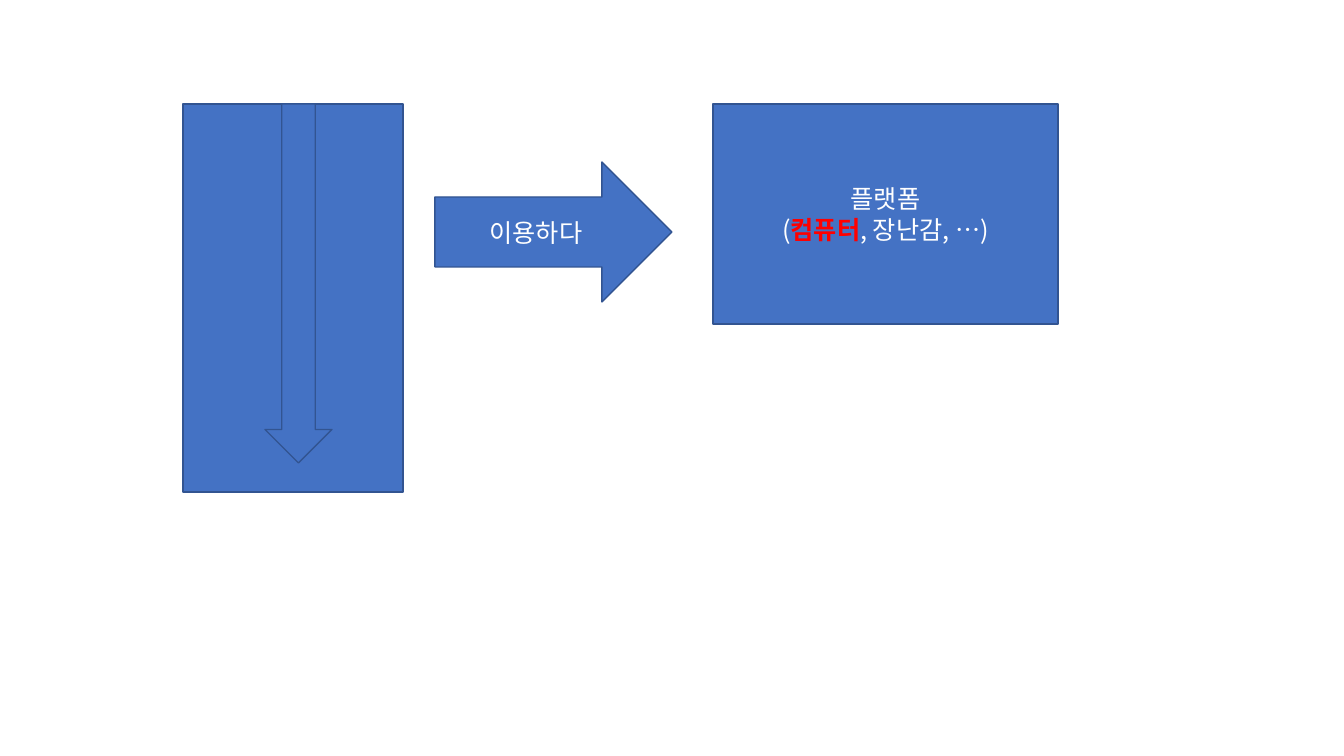
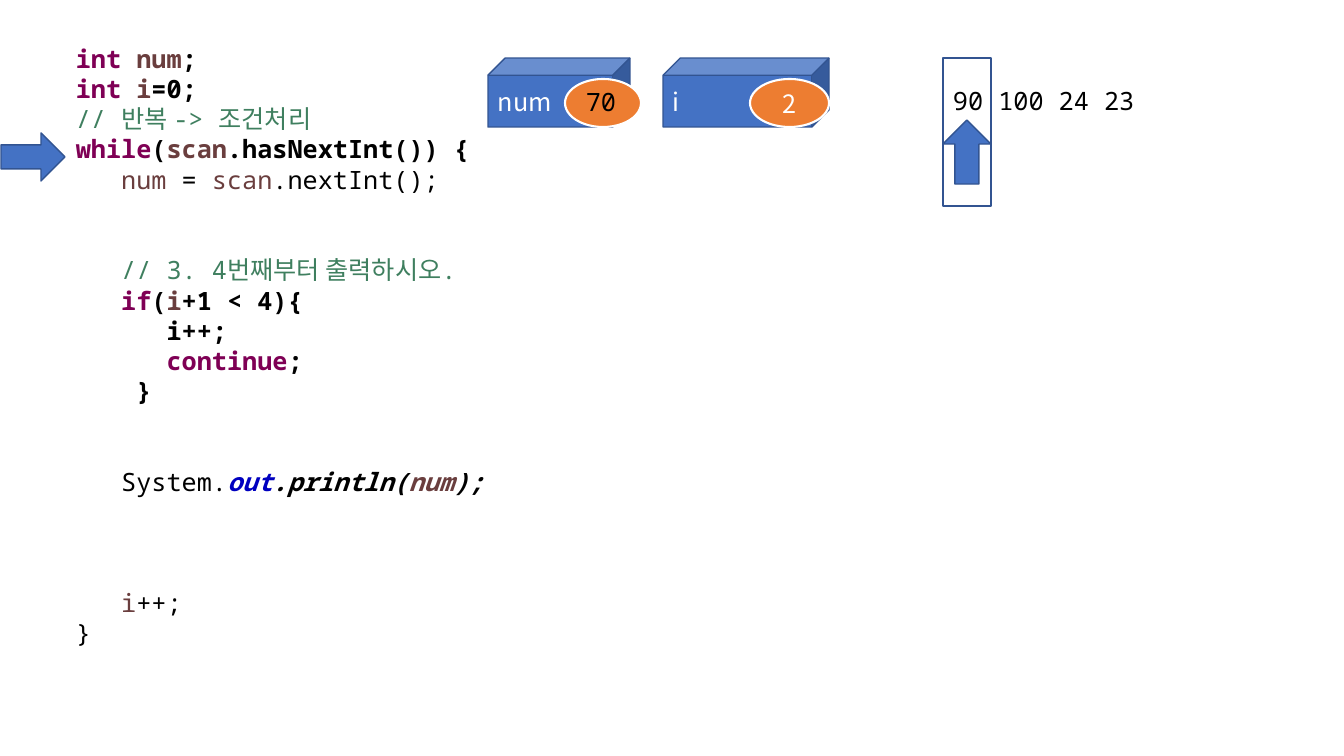
from pptx import Presentation
from pptx.dml.color import RGBColor
from pptx.enum.shapes import MSO_SHAPE as SHAPE
from pptx.enum.text import MSO_ANCHOR as ANCHOR, MSO_AUTO_SIZE as AUTO_SIZE, PP_ALIGN as ALIGN
from pptx.oxml.ns import qn
from pptx.util import Pt
from lxml import etree

EMU_PER_PX = 914400 / 100.8
SANS, MONO = "Noto Sans CJK KR", "Noto Sans Mono"
BLUE, NAVY, ORANGE = "4472C4", "325491", "ED7D31"
WHITE, BLACK, RED = "FFFFFF", "000000", "FF0000"
KEYWORD, VARIABLE, COMMENT, FIELD = "7F0055", "6A3E3E", "3F7F5F", "0000C0"
CODE_LINE = 21.6  # points


def add_box(shapes, kind, box, fill=BLUE, line=NAVY, line_width=1):
    """Add a preset shape, or a text box when kind is None; box is in px."""
    position = [round(value * EMU_PER_PX) for value in box]
    if kind is None:
        text_box = shapes.add_textbox(*position)
        text_box.text_frame.word_wrap = True
        text_box.text_frame.auto_size = AUTO_SIZE.SHAPE_TO_FIT_TEXT
        return text_box
    shape = shapes.add_shape(kind, *position)
    shape.shadow.inherit = False
    if fill:
        shape.fill.solid()
        shape.fill.fore_color.rgb = RGBColor.from_string(fill)
    else:
        shape.fill.background()
    shape.line.color.rgb = RGBColor.from_string(line)
    shape.line.width = Pt(line_width)
    shape.text_frame.vertical_anchor = ANCHOR.MIDDLE
    return shape


def add_text(paragraph, text, color=WHITE, font=SANS, bold=False, italic=False, align=ALIGN.LEFT):
    paragraph.alignment = align
    run = paragraph.add_run()
    run.text = text
    run.font.size = Pt(18)
    run.font.name = font
    run.font.bold = bold
    run.font.italic = italic
    run.font.color.rgb = RGBColor.from_string(color)
    east_asian = etree.SubElement(run.font._element, qn("a:ea"))
    east_asian.set("typeface", SANS)


presentation = Presentation()
presentation.slide_width = round(1344 * EMU_PER_PX)
presentation.slide_height = round(756 * EMU_PER_PX)
blank_layout = presentation.slide_layouts[6]

# Slide 1: a program uses a platform
shapes = presentation.slides.add_slide(blank_layout).shapes
add_box(shapes, SHAPE.RECTANGLE, (183, 104, 220, 388))
add_box(shapes, SHAPE.DOWN_ARROW, (265, 104, 67, 359))
use_arrow = add_box(shapes, SHAPE.RIGHT_ARROW, (435, 162, 237, 140))
add_text(use_arrow.text_frame.paragraphs[0], "이용하다", align=ALIGN.CENTER)

platform = add_box(shapes, SHAPE.RECTANGLE, (713, 104, 345, 220)).text_frame
add_text(platform.paragraphs[0], "플랫폼", align=ALIGN.CENTER)
examples = platform.add_paragraph()
add_text(examples, "(", align=ALIGN.CENTER)
add_text(examples, "컴퓨터", color=RED, bold=True, align=ALIGN.CENTER)
add_text(examples, ", 장난감, …)", align=ALIGN.CENTER)

# Slide 2: tracing a loop. Each line: empty lines above, bold, (text, colour) runs
code_lines = [
    (0, True, [("int ", KEYWORD), ("num", VARIABLE), (";", BLACK)]),
    (0, True, [("int ", KEYWORD), ("i", VARIABLE), ("=0;", BLACK)]),
    (0, False, [("// 반복 -> 조건처리", COMMENT)]),
    (0, True, [("while", KEYWORD), ("(", BLACK), ("scan", VARIABLE), (".hasNextInt()) {", BLACK)]),
    (0, False, [("   num", VARIABLE), (" = ", BLACK), ("scan", VARIABLE), (".nextInt();", BLACK)]),
    (2, False, [("   // 3. 4번째부터 출력하시오.", COMMENT)]),
    (0, True, [("   if", KEYWORD), ("(", BLACK), ("i", VARIABLE), ("+1 < 4){", BLACK)]),
    (0, True, [("      i++;", BLACK)]),
    (0, True, [("      continue", KEYWORD), (";", BLACK)]),
    (0, True, [("    }", BLACK)]),
    (2, True, [("   System.", BLACK), ("out", FIELD), (".println(", BLACK),
               ("num", VARIABLE), (");", BLACK)]),
    (3, False, [("   i", VARIABLE), ("++;", BLACK)]),
    (0, False, [("}", BLACK)]),
]
shapes = presentation.slides.add_slide(blank_layout).shapes
code = add_box(shapes, None, (66, 38, 529, 621)).text_frame
for index, (empty_lines, bold, runs) in enumerate(code_lines):
    paragraph = code.add_paragraph() if index else code.paragraphs[0]
    if empty_lines:
        paragraph.space_before = Pt(empty_lines * CODE_LINE)
    in_print_call = False
    for text, color in runs:
        in_print_call = in_print_call or color == FIELD
        plain = text.strip() == "System."
        add_text(paragraph, text, color=color, font=MONO, bold=bold and not plain,
                 italic=in_print_call)

for name, left, width in [("num", 488, 142), ("i", 663, 166)]:
    variable = add_box(shapes, SHAPE.CUBE, (left, 58, width, 69))
    add_text(variable.text_frame.paragraphs[0], name)

add_box(shapes, SHAPE.OVAL, (565, 79, 76, 48), fill=ORANGE, line=WHITE, line_width=1.5)
counter = add_box(shapes, SHAPE.OVAL, (750, 79, 79, 48), fill=ORANGE, line=WHITE, line_width=1.5)
add_text(counter.text_frame.paragraphs[0], "2", align=ALIGN.CENTER)

add_box(shapes, SHAPE.RIGHT_ARROW, (1, 133, 64, 48))

for text, box in [("90 100 24 23", (943, 80, 313, 40)), ("70", (576, 81, 55, 40))]:
    values = add_box(shapes, None, box)
    add_text(values.text_frame.paragraphs[0], text, color=BLACK, font=MONO)

cursor = shapes.add_group_shape().shapes
add_box(cursor, SHAPE.RIGHT_ARROW, (935, 128, 64, 48)).rotation = 270
add_box(cursor, SHAPE.RECTANGLE, (943, 58, 48, 148), fill=None)

presentation.save("out.pptx")
